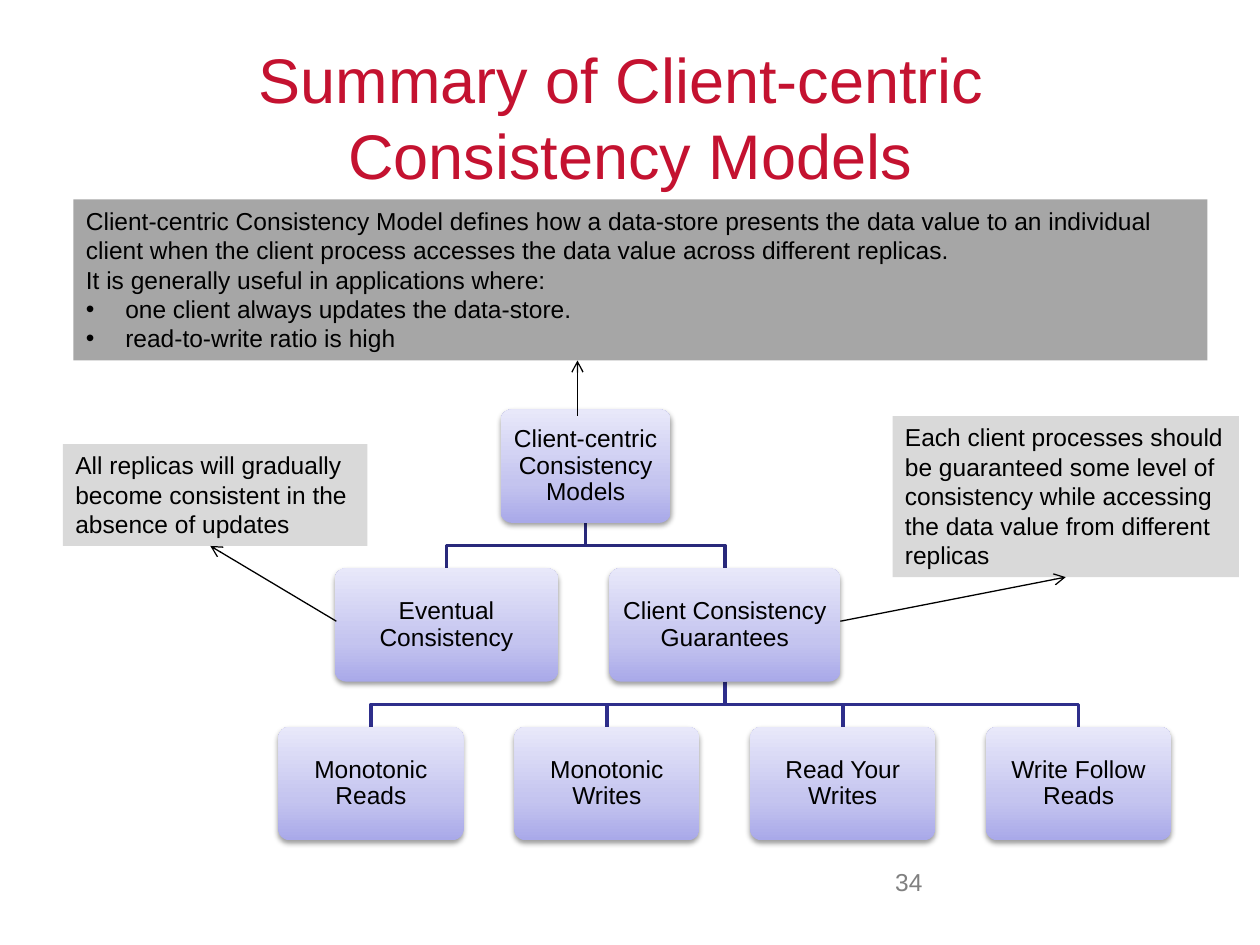
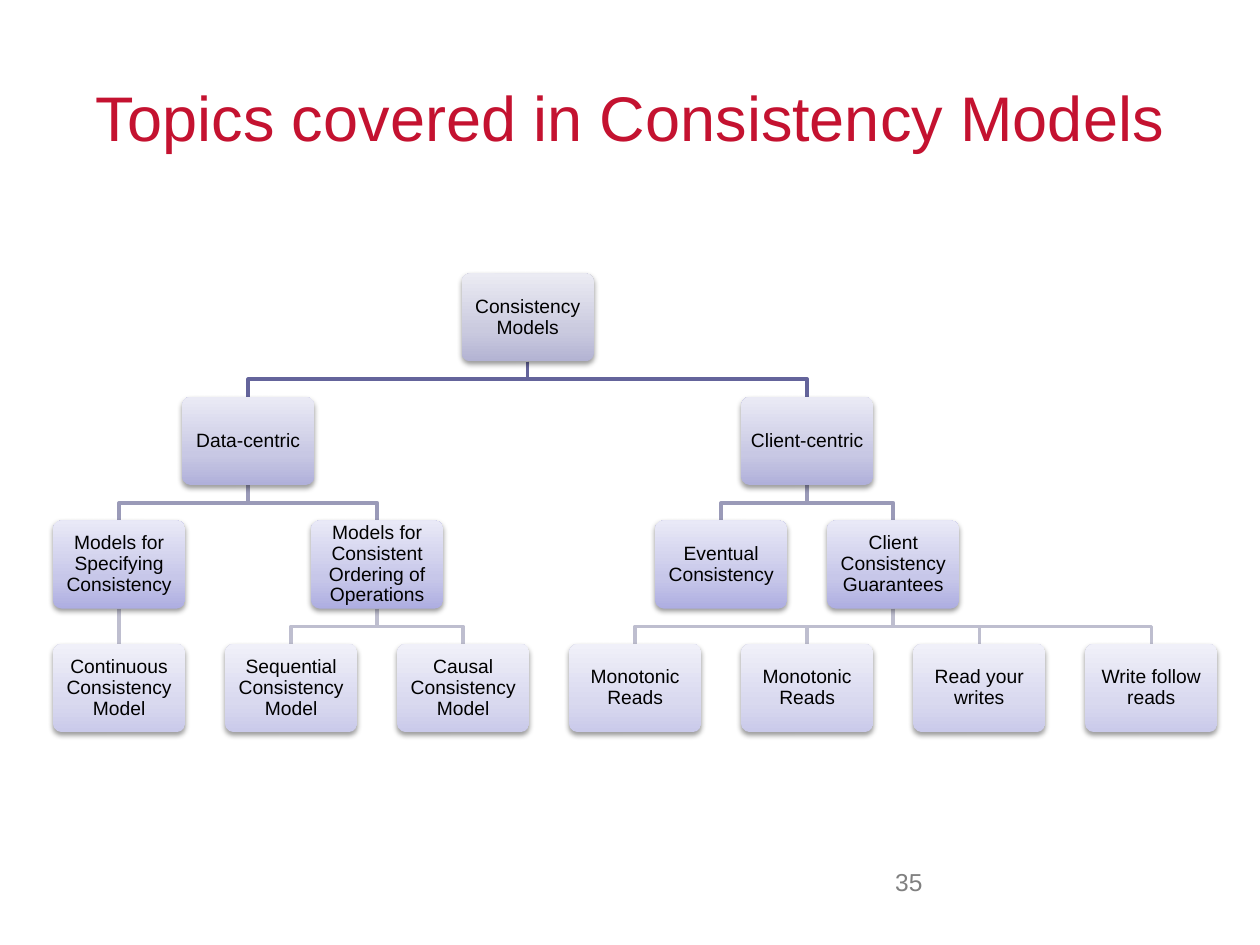
from copy import deepcopy
from dataclasses import dataclass

from lxml import etree
from pptx import Presentation
from pptx import util as u
from pptx.dml.color import RGBColor
from pptx.enum import shapes, text
from pptx.oxml.ns import qn

Pt = u.Pt
FONT = "Arial"
HUES = {
    "title": "C41230", "ink": "000000", "page": "808080",
    "pale": "D9D9D9", "dark": "A6A6A6",
}
# Node gradients run from the bottom edge to the top edge
BLUE = ("A9A9E9", "C4C4EF", "E8E8FA")
FADES = [
    ("B3B3D3", "CACADF", "EBEBF3"), ("B0B0DA", "C8C8E4", "EAEAF5"),
    ("AEAEE1", "C7C7E9", "E9E9F7"), ("CACAEA", "D9D9EF", "F0F0F9"),
]


@dataclass
class Node:
    label: str
    kids: tuple = ()
    col: float = 0
    wide: float = 0

    def place(self):
        """Column of the node: halfway between its outer children."""
        if not self.kids:
            return self.col
        return (self.kids[0].place() + self.kids[-1].place()) / 2


@dataclass
class Tree:
    left: float     # centre of column 0
    step: float     # column pitch
    top: float
    pitch: float    # level pitch
    wide: float
    high: float
    size: float
    pad: float
    fades: list
    lines: list


def rgb(hue):
    return RGBColor.from_string(hue)


def child(node, tag, **attrs):
    return etree.SubElement(node, qn(tag), attrs)


class Deck:
    def __init__(self):
        self.prs = Presentation()
        self.prs.slide_width, self.prs.slide_height = Pt(720), Pt(540)
        self.slide = None

    def page(self, lines, num, left, wide):
        """Start a slide with its title and its number."""
        self.slide = self.prs.slides.add_slide(self.prs.slide_layouts[5])
        head = self.slide.shapes.title
        head.left, head.top = Pt(left), Pt(21.6)
        head.width, head.height = Pt(wide), Pt(90)
        frame = head.text_frame
        frame.auto_size = text.MSO_AUTO_SIZE.NONE
        frame.vertical_anchor = text.MSO_ANCHOR.MIDDLE
        para = frame.paragraphs[0]
        para.alignment = text.PP_ALIGN.CENTER
        for i, line in enumerate(lines):
            if i:
                para.add_line_break()
            self.run(para, line, 36, "title")
        box = self.slide.shapes.add_textbox(Pt(468), Pt(491.8), Pt(66.2), Pt(37.4))
        box.text_frame.word_wrap = True
        para = box.text_frame.paragraphs[0]
        para.alignment = text.PP_ALIGN.RIGHT
        self.run(para, str(num), 14, "page")

    def run(self, para, words, size, hue="ink"):
        run = para.add_run()
        run.text = words
        run.font.name, run.font.size = FONT, Pt(size)
        run.font.color.rgb = rgb(HUES[hue])

    def shape(self, kind, left, top, wide, high):
        item = self.slide.shapes.add_shape(
            kind, Pt(left), Pt(top), Pt(wide), Pt(high))
        item.shadow.inherit = False
        item.line.fill.background()
        item.text_frame.word_wrap = True
        return item

    def note(self, left, top, wide, high, hue, lines, points=()):
        """Grey box with plain lines, then bulleted points."""
        box = self.shape(shapes.MSO_SHAPE.RECTANGLE, left, top, wide, high)
        box.fill.solid()
        box.fill.fore_color.rgb = rgb(HUES[hue])
        frame = box.text_frame
        frame.vertical_anchor = text.MSO_ANCHOR.TOP
        for i, line in enumerate((*lines, *points)):
            para = frame.add_paragraph() if i else frame.paragraphs[0]
            para.alignment = text.PP_ALIGN.LEFT
            self.run(para, line, 14)
            if i >= len(lines):
                props = para._p.get_or_add_pPr()
                props.set("marL", str(Pt(22.5)))
                props.set("indent", str(Pt(-22.5)))
                child(props, "a:buFont", typeface=FONT)
                child(props, "a:buChar", char="•")

    def line(self, x1, y1, x2, y2, hue, thick):
        line = self.slide.shapes.add_connector(
            shapes.MSO_CONNECTOR.STRAIGHT, Pt(x1), Pt(y1), Pt(x2), Pt(y2))
        line.line.color.rgb = rgb(hue)
        line.line.width = Pt(thick)
        child(line._element.spPr, "a:effectLst")
        return line

    def arrow(self, x1, y1, x2, y2):
        line = self.line(x1, y1, x2, y2, HUES["ink"], 0.75)
        child(line.line._get_or_add_ln(), "a:tailEnd", type="arrow")

    def elbow(self, x1, y1, x2, y2, hue):
        """Link a parent to a child, with a bend if they are not aligned."""
        if abs(x1 - x2) < 0.1:
            self.line(x1, y1, x2, y2, hue, 2)
            return
        mid = (y1 + y2) / 2
        pen = self.slide.shapes.build_freeform(Pt(x1), Pt(y1))
        pen.add_line_segments(
            [(Pt(x), Pt(y)) for x, y in ((x1, mid), (x2, mid), (x2, y2))],
            close=False)
        link = pen.convert_to_shape()
        link.shadow.inherit = False
        link.fill.background()
        link.line.color.rgb = rgb(hue)
        link.line.width = Pt(2)

    def card(self, label, left, top, wide, tree, fade):
        """Rounded box with a gradient, a soft shadow and a label."""
        box = self.shape(shapes.MSO_SHAPE.ROUNDED_RECTANGLE,
                         left, top, wide, tree.high)
        box.adjustments[0] = 0.1
        # Gradient of three stops
        box.fill.gradient()
        box.fill.gradient_angle = 90
        props = box._element.spPr
        stops = props.find(qn("a:gradFill")).find(qn("a:gsLst"))
        stops.insert(1, deepcopy(stops[0]))
        for stop, hue, pos in zip(box.fill.gradient_stops, fade, (0, 0.35, 1)):
            stop.color.rgb, stop.position = rgb(hue), pos
        # Shadow
        glow = child(props.find(qn("a:effectLst")), "a:outerShdw",
                     blurRad=str(Pt(3.1)), dist=str(Pt(1.6)),
                     dir="5400000", rotWithShape="0")
        tint = child(glow, "a:srgbClr", val=HUES["ink"])
        child(tint, "a:alpha", val="38000")
        # Label
        frame = box.text_frame
        frame.vertical_anchor = text.MSO_ANCHOR.MIDDLE
        frame.margin_left = frame.margin_right = Pt(tree.pad)
        frame.margin_top = frame.margin_bottom = Pt(tree.pad)
        para = frame.paragraphs[0]
        para.alignment = text.PP_ALIGN.CENTER
        para.line_spacing = 0.9
        self.run(para, label, tree.size)

    def grow(self, node, tree, level=0):
        """Draw a node and everything below it."""
        mid = tree.left + node.place() * tree.step
        top = tree.top + level * tree.pitch
        for kid in node.kids:
            self.elbow(mid, top + tree.high,
                       tree.left + kid.place() * tree.step,
                       top + tree.pitch, tree.lines[level])
            self.grow(kid, tree, level + 1)
        wide = node.wide or tree.wide
        self.card(node.label, mid - wide / 2, top, wide, tree,
                  tree.fades[level])


def leaves(labels, first=0):
    return tuple(Node(label, col=first + i) for i, label in enumerate(labels))


deck = Deck()

# Slide 1: client-centric models
deck.page(["Summary of Client-centric ", "Consistency Models"], 34, 36, 648)
client = Node("Client-centric Consistency Models", (
    Node("Eventual Consistency", col=0.32, wide=127.6),
    Node("Client Consistency Guarantees", leaves(
        ["Monotonic Reads", "Monotonic Writes", "Read Your Writes",
         "Write Follow Reads"]), wide=132),
), wide=97.2)
deck.grow(client, Tree(212, 134.8, 234, 90.7, 105.8, 64.8, 14, 4.3,
                       [BLUE] * 3, ["29297B", "2E2E8B"]))
deck.note(510, 237.8, 198, 92, "pale", [
    "Each client processes should be guaranteed some level of consistency "
    "while accessing the data value from different replicas"])
deck.arrow(480.2, 355, 609, 329.8)
deck.note(36, 253.8, 174, 58.2, "pale", [
    "All replicas will gradually become consistent in the absence of updates"])
deck.arrow(192.2, 355, 120.2, 312)
deck.note(42, 114, 648, 92, "dark", [
    "Client-centric Consistency Model defines how a data-store presents the "
    "data value to an individual client when the client process accesses the "
    "data value across different replicas. ",
    "It is generally useful in applications where:",
], ["one client always updates the data-store. ", "read-to-write ratio is high"])
deck.arrow(330, 237.6, 330, 206)

# Slide 2: all consistency models
deck.page(["Topics covered in Consistency Models"], 35, 12, 696)
models = Node("Consistency Models", (
    Node("Data-centric", (
        Node("Models for Specifying Consistency",
             leaves(["Continuous Consistency Model"])),
        Node("Models for Consistent Ordering of Operations",
             leaves(["Sequential Consistency Model",
                     "Causal Consistency Model"], 1)),
    )),
    Node("Client-centric", (
        Node("Eventual Consistency", col=3.5),
        Node("Client Consistency Guarantees",
             leaves(["Monotonic Reads", "Monotonic Reads",
                     "Read your writes", "Write follow reads"], 3)),
    )),
))
deck.grow(models, Tree(68.1, 98.3, 156.2, 70.6, 75.6, 50.4, 11, 3.6,
                       FADES, ["64649B", "9A9AB8", "BEBECF"]))

deck.prs.save("out.pptx")
